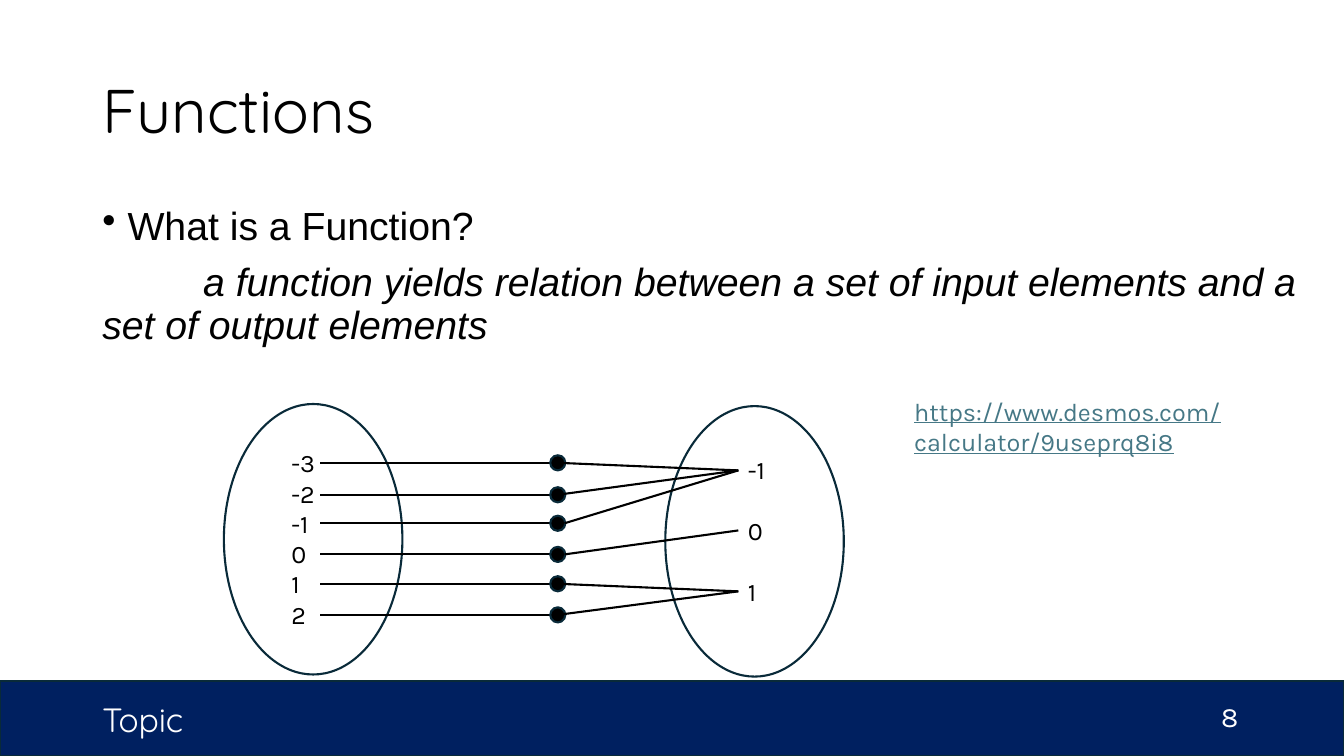
"""Build a slide that shows a function as a mapping between two sets."""
from pptx import Presentation, util as u
from pptx.dml.color import RGBColor
from pptx.enum import shapes, text
from pptx.oxml.ns import qn
from lxml import etree

COLORS = {"ink": "000000", "paper": "FFFFFF", "band": "002060",
          "outline": "092A39", "link": "467886"}


class MappingSlide:
    """Style and slide, measured on a grid of 160 columns by 90 rows."""

    def __init__(self, deck):
        self.slide = deck.slides.add_slide(deck.slide_layouts[5])
        self.column = deck.slide_width / 160
        self.row = deck.slide_height / 90
        self.stroke = u.Pt(1.5)

    def place(self, left, top, width, height):
        return (round(left * self.column), round(top * self.row),
                round(width * self.column), round(height * self.row))

    def color(self, key):
        return RGBColor.from_string(COLORS[key])

    def style(self, frame, size, font="Karla", color="ink", middle=False,
              align=text.PP_ALIGN.LEFT, wrap=True, spacing=None, gap=0):
        frame.word_wrap = wrap
        frame.auto_size = text.MSO_AUTO_SIZE.NONE
        frame.vertical_anchor = text.MSO_ANCHOR.MIDDLE if middle else text.MSO_ANCHOR.TOP
        for index, paragraph in enumerate(frame.paragraphs):
            paragraph.alignment = align
            paragraph.line_spacing = spacing
            paragraph.space_before = u.Pt(gap if index else 0)
            paragraph.font.size = u.Pt(size)
            paragraph.font.name = font
            paragraph.font.color.rgb = self.color(color)

    def title(self, words, box):
        heading = self.slide.shapes.title
        heading.left, heading.top, heading.width, heading.height = self.place(*box)
        heading.text_frame.text = words
        self.style(heading.text_frame, 44, "Quicksand", middle=True, spacing=0.9)

    def label(self, lines, box, size=18, **style):
        frame = self.slide.shapes.add_textbox(*self.place(*box)).text_frame
        frame.text = "\n".join(lines)
        self.style(frame, size, **style)
        return frame.paragraphs

    def definition(self, question, answer, box):
        frame = self.slide.shapes.add_textbox(*self.place(*box)).text_frame
        frame.text = f"{question}\n{answer}"
        asked, answered = frame.paragraphs
        self.style(frame, 28, "Arial", spacing=0.9, gap=10)
        self.indent(asked, 0.25, -0.25)
        self.indent(answered, 0, 1)
        bullet = etree.Element(qn("a:buChar"), char="•")
        asked._p.pPr.find(qn("a:defRPr")).addprevious(bullet)
        answered.font.italic = True

    def indent(self, paragraph, margin, first):
        properties = paragraph._p.get_or_add_pPr()
        properties.set("marL", str(u.Inches(margin)))
        properties.set("indent", str(u.Inches(first)))

    def shape(self, kind, box, fill):
        figure = self.slide.shapes.add_shape(kind, *self.place(*box))
        figure.shadow.inherit = False
        figure.fill.solid()
        figure.fill.fore_color.rgb = self.color(fill)
        figure.line.color.rgb = self.color("outline")
        figure.line.width = self.stroke

    def line(self, start, end):
        link = self.slide.shapes.add_connector(
            shapes.MSO_CONNECTOR.STRAIGHT, *self.place(*start, *end))
        link.line.color.rgb = self.color("ink")
        link.line.width = self.stroke
        etree.SubElement(link._element.spPr, qn("a:effectLst"))


def main():
    deck = Presentation()
    deck.slide_width, deck.slide_height = u.Inches(13.33), u.Inches(7.5)
    page = MappingSlide(deck)
    oval = shapes.MSO_SHAPE.OVAL

    page.shape(shapes.MSO_SHAPE.RECTANGLE, (0, 81.1, 160, 8.9), "band")
    page.title("Functions", (11, 4.8, 138, 17.4))
    page.definition(
        "What is a Function?",
        "a function yields relation between a set of input elements "
        "and a set of output elements", (11, 24, 145.1, 57.1))
    page.label(["8"], (135.2, 82.4, 13.4, 5.8), 20, color="paper", middle=True,
               align=text.PP_ALIGN.RIGHT)
    page.label(["Topic"], (11, 81.1, 92, 8.9), 24, font="Quicksand",
               color="paper", middle=True)

    for left, top in ((26.65, 48.1), (79.2, 48.35)):
        page.shape(oval, (left, top, 21.25, 32.2), "paper")

    output_rows = {"-1": 56, "0": 63.15, "1": 70.4}
    relation = [("-3", 55.1, 66.4, "-1"), ("-2", 58.9, 66.4, "-1"),
                ("-1", 62.3, 67.2, "-1"), ("0", 66, 67.2, "0"),
                ("1", 69.5, 66.4, "1"), ("2", 73.2, 66.4, "1")]
    page.label([pair[0] for pair in relation], (33.5, 52.7, 6.85, 23))
    page.label(list(output_rows), (87.85, 53.5, 4.8, 19.4), wrap=False, gap=21.8)
    dot = 1.8
    for _, row, arm, output in relation:
        page.line((38.15, row), (65.75, row))
        page.shape(oval, (65.5, row - dot / 2, dot, dot), "ink")
        page.line((arm, row), (87.9, output_rows[output]))

    address = page.label(["https://www.desmos.com/calculator/9useprq8i8"],
                         (107.65, 46.55, 48.7, 12.1), color="link")
    address[0].font.underline = True
    deck.save("out.pptx")


if __name__ == "__main__":
    main()
